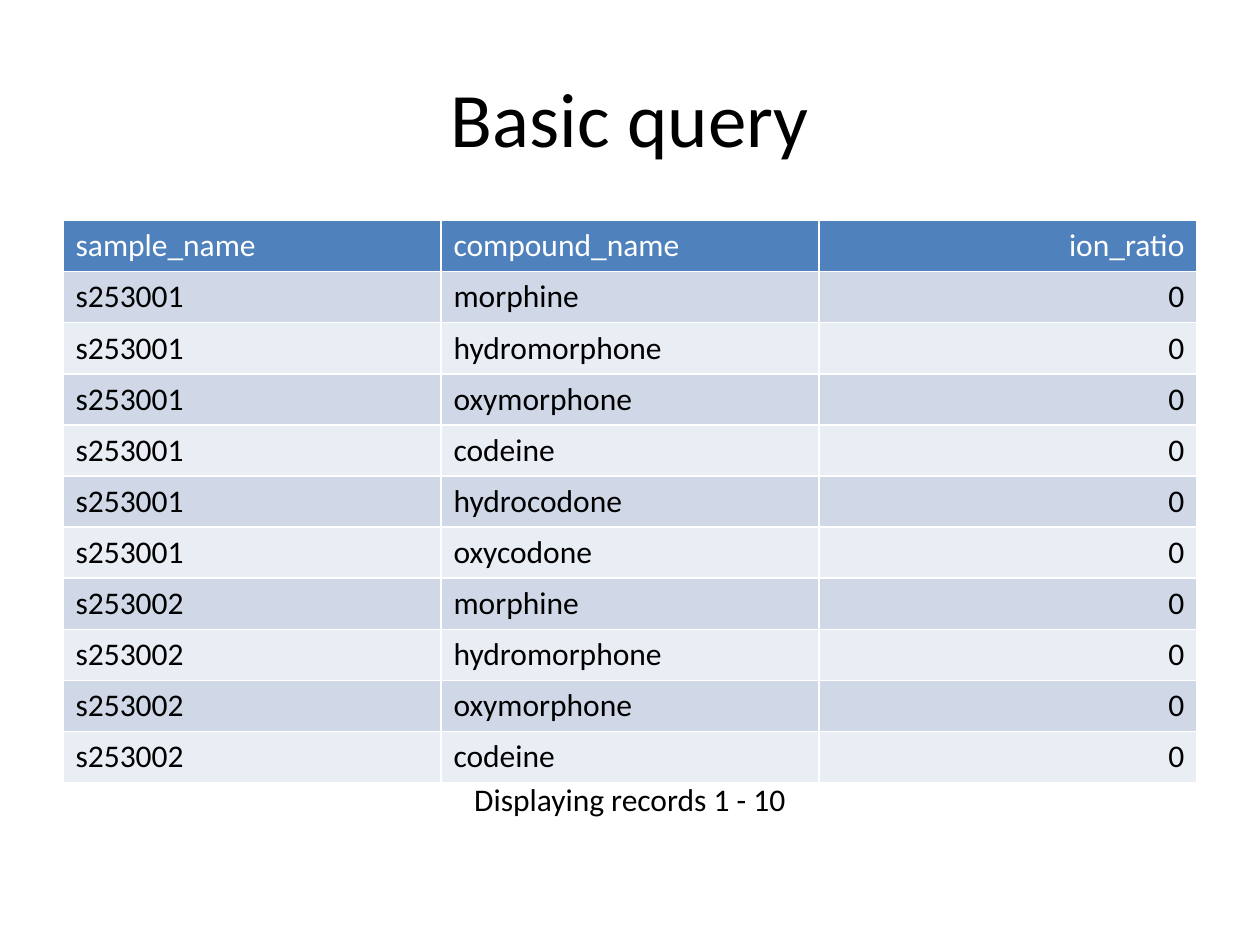
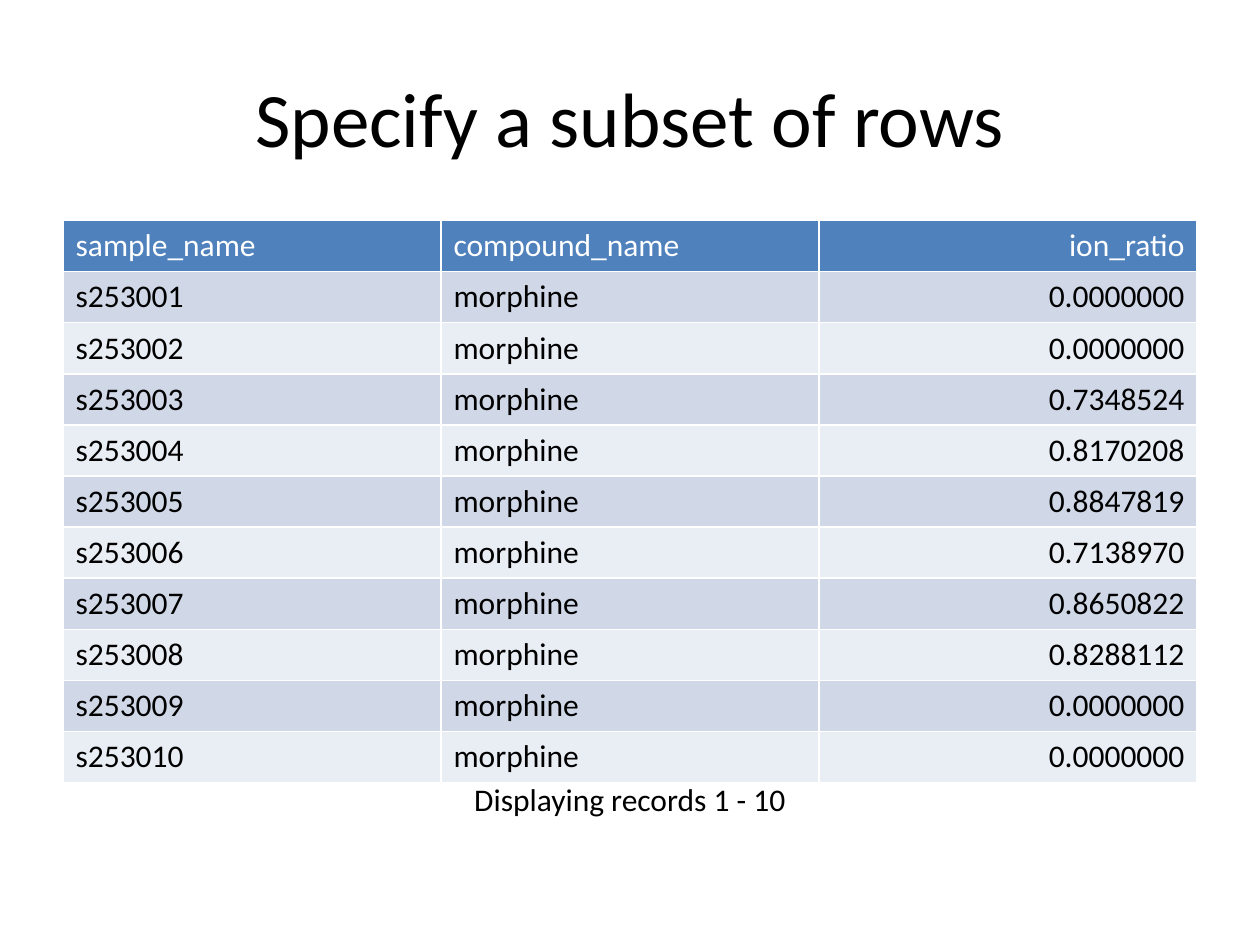
from pptx import Presentation
from pptx.dml.color import RGBColor
from pptx.enum.text import MSO_ANCHOR, PP_ALIGN
from pptx.util import Inches, Pt

FONT = "Calibri"
BLACK, WHITE, HEADER_BLUE = "000000", "FFFFFF", "4F81BD"
BANDS = ("D0D8E8", "E9EDF4")
TITLE_ONLY = 5

# Boxes in inches: left, top, width, height
TITLE_BOX = (0.5, 0.3, 9, 1.25)
TABLE_BOX = (0.5, 1.75, 9, 4.4)
CAPTION_BOX = (0.5, 6.14, 9, 0.56)

HEADINGS = ("sample_name", "compound_name", "ion_ratio")
ALIGNMENTS = (PP_ALIGN.LEFT, PP_ALIGN.LEFT, PP_ALIGN.RIGHT)
CAPTION = "Displaying records 1 - 10"
COMPOUNDS = ("morphine", "hydromorphone", "oxymorphone",
             "codeine", "hydrocodone", "oxycodone")
MORPHINE_RATIOS = ("0.0000000", "0.0000000", "0.7348524", "0.8170208", "0.8847819",
                   "0.7138970", "0.8650822", "0.8288112", "0.0000000", "0.0000000")

BASIC_ROWS = ([("s253001", compound, "0") for compound in COMPOUNDS]
              + [("s253002", compound, "0") for compound in COMPOUNDS[:4]])
SUBSET_ROWS = [(f"s253{number:03}", "morphine", ratio)
               for number, ratio in enumerate(MORPHINE_RATIOS, 1)]


def rgb(hex_string):
    """Turn a hex string into a colour."""
    return RGBColor.from_string(hex_string)


def write(text_frame, text, size, color, alignment):
    """Put one formatted paragraph into a text frame."""
    text_frame.text = text
    paragraph = text_frame.paragraphs[0]
    paragraph.alignment = alignment
    font = paragraph.runs[0].font
    font.name, font.size, font.bold = FONT, Pt(size), False
    font.color.rgb = rgb(color)


def add_title(slide, text, box):
    """Place and fill the title placeholder."""
    title = slide.shapes.title
    title.left, title.top, title.width, title.height = map(Inches, box)
    title.text_frame.vertical_anchor = MSO_ANCHOR.MIDDLE
    write(title.text_frame, text, 44, BLACK, PP_ALIGN.CENTER)


def add_records(slide, records, box):
    """Draw a banded table with a header; white rules come from its style."""
    rows = [HEADINGS, *records]
    table = slide.shapes.add_table(len(rows), len(HEADINGS), *map(Inches, box)).table
    for row_index, values in enumerate(rows):
        is_header = row_index == 0
        fill = HEADER_BLUE if is_header else BANDS[(row_index - 1) % 2]
        color = WHITE if is_header else BLACK
        for column_index, value in enumerate(values):
            cell = table.cell(row_index, column_index)
            cell.fill.solid()
            cell.fill.fore_color.rgb = rgb(fill)
            write(cell.text_frame, value, 18, color, ALIGNMENTS[column_index])


def add_caption(slide, text, box):
    """Write the centred line below the table."""
    text_frame = slide.shapes.add_textbox(*map(Inches, box)).text_frame
    text_frame.word_wrap = True
    write(text_frame, text, 18, BLACK, PP_ALIGN.CENTER)


def add_query_slide(presentation, title, records):
    """Add a slide with a title, a result table and its caption."""
    slide = presentation.slides.add_slide(presentation.slide_layouts[TITLE_ONLY])
    add_title(slide, title, TITLE_BOX)
    add_records(slide, records, TABLE_BOX)
    add_caption(slide, CAPTION, CAPTION_BOX)


presentation = Presentation()
presentation.slide_width, presentation.slide_height = Inches(10), Inches(7.5)
add_query_slide(presentation, "Basic query", BASIC_ROWS)
add_query_slide(presentation, "Specify a subset of rows", SUBSET_ROWS)
presentation.save("out.pptx")
